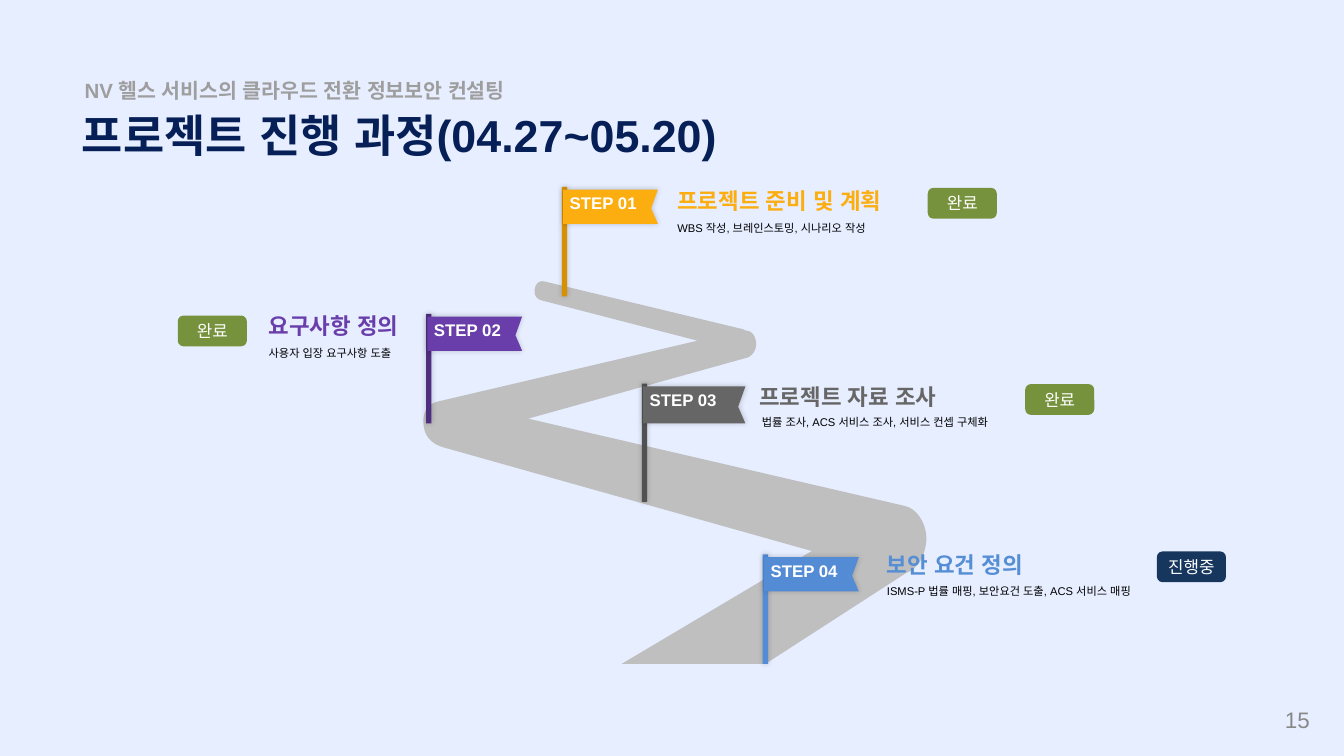
from dataclasses import dataclass

from lxml import etree
from pptx import Presentation
from pptx.dml.color import RGBColor
from pptx.enum.shapes import MSO_SHAPE
from pptx.enum.text import MSO_ANCHOR, MSO_AUTO_SIZE, PP_ALIGN
from pptx.oxml.ns import qn
from pptx.util import Inches, Pt

RECTANGLE, ROUNDED = MSO_SHAPE.RECTANGLE, MSO_SHAPE.ROUNDED_RECTANGLE
TOP, MIDDLE = MSO_ANCHOR.TOP, MSO_ANCHOR.MIDDLE
LEFT, CENTER, RIGHT = PP_ALIGN.LEFT, PP_ALIGN.CENTER, PP_ALIGN.RIGHT
NO_AUTOFIT = MSO_AUTO_SIZE.NONE
TITLE_ONLY = 5


@dataclass(frozen=True)
class Theme:
    font: str = "Arial"
    background: str = "E7EEFF"
    navy: str = "061F56"
    road: str = "BFBFBF"
    muted: str = "9E9E9E"
    page: str = "888888"
    black: str = "000000"
    white: str = "FFFFFF"
    done: str = "76923C"
    ongoing: str = "17365D"
    title_size: int = 48
    heading_size: int = 24
    subtitle_size: int = 22
    label_size: int = 18
    detail_size: int = 12


@dataclass(frozen=True)
class Step:
    label: str
    heading: str
    detail: str
    status: str
    flag_at: tuple
    heading_box: tuple
    detail_at: tuple
    status_at: tuple
    pole_color: str
    flag_color: str
    heading_color: str
    status_color: str
    scale: float = 1


THEME = Theme()

STEPS = [
    Step("STEP 01", "프로젝트 준비 및 계획", "WBS 작성, 브레인스토밍, 시나리오 작성", "완료",
         (8.36, 2.78), (9.98, 2.81, 3.78), (9.98, 3.24), (13.82, 2.81),
         "D79003", "FCAD10", "FCAD10", THEME.done),
    Step("STEP 02", "요구사항 정의", "사용자 입장 요구사항 도출", "완료",
         (6.34, 4.67), (3.9, 4.67, 3.78), (3.9, 5.1), (2.66, 4.71),
         "4E2E7E", "693EAA", "693EAA", THEME.done),
    Step("STEP 03", "프로젝트 자료 조사", "법률 조사, ACS 서비스 조사, 서비스 컨셉 구체화", "완료",
         (9.55, 5.71), (11.2, 5.73, 4.03), (11.24, 6.13), (15.27, 5.73),
         "515151", "666666", "666666", THEME.done, 1.08),
    Step("STEP 04", "보안 요건 정의", "ISMS-P 법률 매핑, 보안요건 도출, ACS 서비스 매핑", "진행중",
         (11.35, 8.25), (13.1, 8.22, 4.31), (13.1, 8.65), (17.23, 8.22),
         "538CD5", "538CD5", "558ED5", THEME.ongoing),
]

# Two numbers make a straight edge, six make a Bezier bend.
ROAD = [
    (13.47, 7.53), (7.86, 6.23), (11.09, 5.33),
    (11.2, 5.31, 11.27, 5.2, 11.25, 5.07), (11.24, 5.04),
    (11.22, 4.97, 11.17, 4.92, 11.1, 4.92), (11.06, 4.9), (8.11, 4.19),
    (8.03, 4.17, 7.98, 4.21, 7.96, 4.29), (7.94, 4.38, 7.98, 4.45, 8.06, 4.47),
    (10.38, 5.07), (6.54, 5.97),
    (6.41, 5.99, 6.3, 6.08, 6.3, 6.27), (6.3, 6.29),
    (6.31, 6.53, 6.46, 6.63, 6.68, 6.68),
    (12.08, 8.2), (9.25, 9.88), (11.39, 9.88), (13.48, 8.53),
    (13.61, 8.48, 13.72, 8.36, 13.76, 8.19), (13.78, 8.1),
    (13.82, 7.86, 13.68, 7.58, 13.47, 7.53),
]


def flatten(segments, pieces=10):
    """Turn straight edges and Bezier bends into a list of points."""
    points = []
    for segment in segments:
        if len(segment) == 2:
            points.append(segment)
            continue
        (x0, y0), (x1, y1, x2, y2, x3, y3) = points[-1], segment
        for i in range(1, pieces + 1):
            t = i / pieces
            a, b, c, d = (1 - t) ** 3, 3 * t * (1 - t) ** 2, 3 * t * t * (1 - t), t ** 3
            points.append((a * x0 + b * x1 + c * x2 + d * x3,
                           a * y0 + b * y1 + c * y2 + d * y3))
    return points


class RoadmapSlide:
    def __init__(self, slide, theme):
        self.slide, self.theme = slide, theme
        slide.background.fill.solid()
        slide.background.fill.fore_color.rgb = RGBColor.from_string(theme.background)

    def set_text(self, shape, text, size, color, bold=False, align=LEFT, anchor=TOP, spacing=1):
        frame = shape.text_frame
        frame.word_wrap = True
        frame.auto_size = NO_AUTOFIT
        frame.vertical_anchor = anchor
        paragraph = frame.paragraphs[0]
        paragraph.alignment = align
        paragraph.line_spacing = spacing
        run = paragraph.add_run()
        run.text = text
        run.font.name = self.theme.font
        run.font.size = Pt(size)
        run.font.bold = bold
        run.font.color.rgb = RGBColor.from_string(color)
        etree.SubElement(run.font._element, qn("a:ea"), typeface=self.theme.font)

    def title(self, box, text):
        title = self.slide.shapes.title
        title.left, title.top, title.width, title.height = map(Inches, box)
        self.set_text(title, text, self.theme.title_size, self.theme.navy, bold=True)

    def text(self, box, text, size, color, **style):
        self.set_text(self.slide.shapes.add_textbox(*map(Inches, box)), text, size, color, **style)

    def paint(self, shape, color, shadow=False):
        shape.fill.solid()
        shape.fill.fore_color.rgb = RGBColor.from_string(color)
        shape.line.fill.background()
        shape.shadow.inherit = False
        if shadow:
            effects = shape._element.spPr.find(qn("a:effectLst"))
            outer = etree.SubElement(effects, qn("a:outerShdw"), blurRad=str(Pt(6)),
                                     dist="0", dir="0", algn="ctr", rotWithShape="0")
            tint = etree.SubElement(outer, qn("a:srgbClr"), val=self.theme.black)
            etree.SubElement(tint, qn("a:alpha"), val="20000")

    def outline(self, points, color, shadow=False):
        start, *rest = [(Inches(x), Inches(y)) for x, y in points]
        builder = self.slide.shapes.build_freeform(*start)
        builder.add_line_segments(rest, close=True)
        shape = builder.convert_to_shape()
        self.paint(shape, color, shadow)
        return shape

    def flag(self, step):
        x, y = step.flag_at
        pole = self.slide.shapes.add_shape(
            RECTANGLE, *map(Inches, (x, y, 0.08, 1.63 * step.scale)))
        self.paint(pole, step.pole_color, shadow=True)
        corners = [(0, 0), (1.41, 0), (1.31, 0.28), (1.41, 0.51), (0, 0.51)]
        cloth = self.outline([(x + 0.02 + dx * step.scale, y + 0.04 + dy * step.scale)
                              for dx, dy in corners], step.flag_color, shadow=True)
        self.set_text(cloth, step.label, self.theme.label_size, self.theme.white, bold=True)

    def description(self, step):
        left, top, width = step.heading_box
        self.text((left, top, width, 0.43), step.heading, self.theme.heading_size,
                  step.heading_color, bold=True, anchor=MIDDLE, spacing=0.8)
        self.text((*step.detail_at, width, 0.27), step.detail,
                  self.theme.detail_size, self.theme.black)

    def status(self, step):
        badge = self.slide.shapes.add_shape(ROUNDED, *map(Inches, (*step.status_at, 1, 0.43)))
        self.paint(badge, step.status_color)
        badge.line.color.rgb = RGBColor.from_string(step.status_color)
        badge.line.width = Pt(2)
        self.set_text(badge, step.status, self.theme.label_size, self.theme.white,
                      align=CENTER, anchor=MIDDLE)


def main():
    deck = Presentation()
    deck.slide_width, deck.slide_height = Inches(20), Inches(11.25)
    roadmap = RoadmapSlide(deck.slides.add_slide(deck.slide_layouts[TITLE_ONLY]), THEME)
    roadmap.title((1.12, 1.56, 11.28, 0.91), "프로젝트 진행 과정(04.27~05.20)")
    roadmap.text((1.16, 1.11, 9.75, 0.47), "NV 헬스 서비스의 클라우드 전환 정보보안 컨설팅",
                 THEME.subtitle_size, THEME.muted, bold=True, anchor=MIDDLE)
    roadmap.outline(flatten(ROAD), THEME.road)
    for step in STEPS:
        roadmap.flag(step)
        roadmap.description(step)
        roadmap.status(step)
    roadmap.text((17.26, 10.51, 2.33, 0.4), "15", THEME.heading_size, THEME.page,
                 align=RIGHT, anchor=MIDDLE)
    deck.save("out.pptx")


if __name__ == "__main__":
    main()
